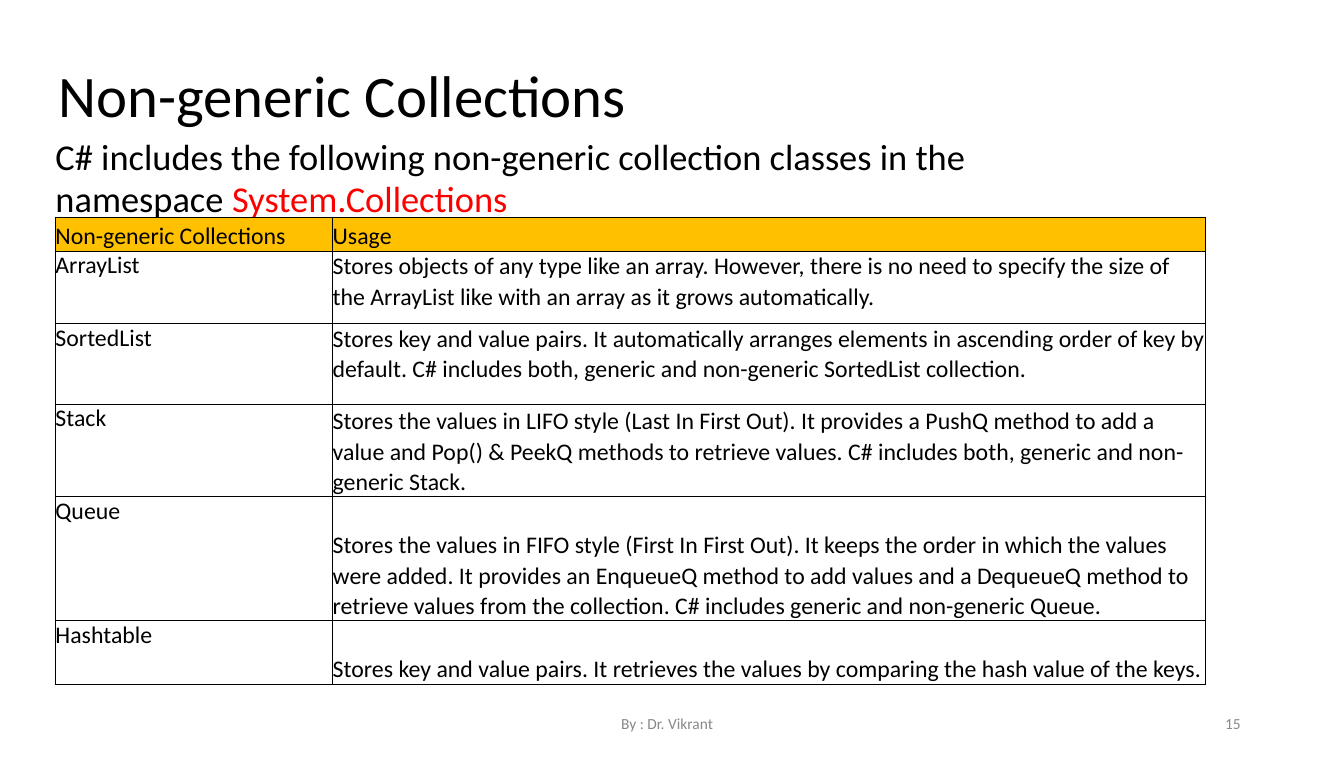
from lxml.etree import SubElement
from pptx import Presentation
from pptx.dml.color import RGBColor
from pptx.enum.text import MSO_ANCHOR
from pptx.oxml.ns import qn
from pptx.util import Inches, Pt

FONT = "Calibri"
BLACK, RED, GREY, AMBER = "000000", "FC0000", "888888", "FFC000"
TOP, BOTTOM = MSO_ANCHOR.TOP, MSO_ANCHOR.BOTTOM
COLUMNS = [2.75, 8.66]
HEADER = ("Non-generic Collections", "Usage")
COLLECTIONS = [
    ("ArrayList", 0.72, TOP,
     "Stores objects of any type like an array. However, there is no need to "
     "specify the size of the ArrayList like with an array as it grows automatically."),
    ("SortedList", 0.8, TOP,
     "Stores key and value pairs. It automatically arranges elements in ascending "
     "order of key by default. C# includes both, generic and non-generic "
     "SortedList collection."),
    ("Stack", 0.92, BOTTOM,
     "Stores the values in LIFO style (Last In First Out). It provides a PushQ "
     "method to add a value and Pop() & PeekQ methods to retrieve values. "
     "C# includes both, generic and non-generic Stack."),
    ("Queue", 1.23, BOTTOM,
     "Stores the values in FIFO style (First In First Out). It keeps the order in "
     "which the values were added. It provides an EnqueueQ method to add values "
     "and a DequeueQ method to retrieve values from the collection. "
     "C# includes generic and non-generic Queue."),
    ("Hashtable", 0.63, BOTTOM,
     "Stores key and value pairs. It retrieves the values by comparing the hash "
     "value of the keys."),
]


def rgb(color):
    return RGBColor.from_string(color)


def write(p, runs, size, spacing=None):
    p.font.size, p.font.name = Pt(size), FONT
    if spacing:
        p.line_spacing = Pt(spacing)
    for text, color in runs:
        r = p.add_run()
        r.text = text
        r.font.color.rgb = rgb(color)


def add_text(s, box, runs, size, spacing=None, wrap=False):
    tf = s.shapes.add_textbox(*map(Inches, box)).text_frame
    tf.margin_left = tf.margin_right = tf.margin_top = tf.margin_bottom = 0
    tf.word_wrap = wrap
    write(tf.paragraphs[0], runs, size, spacing)


def add_borders(cell):
    pr = cell._tc.get_or_add_tcPr()
    for i, side in enumerate(("a:lnL", "a:lnR", "a:lnT", "a:lnB")):
        ln = pr.makeelement(qn(side), {"w": str(Pt(0.75))})
        fill = SubElement(ln, qn("a:solidFill"))
        SubElement(fill, qn("a:srgbClr"), val=BLACK)
        pr.insert(i, ln)


def fill_cell(cell, text, anchor, spacing=None, color=None):
    cell.margin_left = cell.margin_right = cell.margin_top = cell.margin_bottom = 0
    cell.vertical_anchor = anchor
    if color:
        cell.fill.solid()
        cell.fill.fore_color.rgb = rgb(color)
    else:
        cell.fill.background()
    write(cell.text_frame.paragraphs[0], [(text, BLACK)], 17, spacing)
    add_borders(cell)


def add_collections_table(s, left, top):
    heights = [0.33] + [height for _, height, _, _ in COLLECTIONS]
    table = s.shapes.add_table(len(heights), len(COLUMNS), Inches(left), Inches(top),
                               Inches(sum(COLUMNS)), Inches(sum(heights))).table
    table.first_row = table.horz_banding = False
    for column, width in zip(table.columns, COLUMNS):
        column.width = Inches(width)
    for row, height in zip(table.rows, heights):
        row.height = Inches(height)
    for i, title in enumerate(HEADER):
        fill_cell(table.cell(0, i), title, BOTTOM, color=AMBER)
    for i, (name, _, anchor, usage) in enumerate(COLLECTIONS, 1):
        fill_cell(table.cell(i, 0), name, TOP)
        fill_cell(table.cell(i, 1), usage, anchor, 21.6)


def add_heading(s, left, top):
    add_text(s, (left + 0.03, top, 5.86, 0.56), [("Non-generic Collections", BLACK)], 42)
    add_text(s, (left, top + 0.77, 9.71, 0.8),
             [("C# includes the following non-generic collection classes in the namespace ", BLACK),
              ("System.Collections", RED)], 26, 30, True)


def add_footer(s, top):
    add_text(s, (6.16, top, 1.01, 0.18), [("By : Dr. Vikrant", GREY)], 11)
    add_text(s, (12.15, top, 0.18, 0.15), [("15", GREY)], 11)


def main():
    prs = Presentation()
    prs.slide_width, prs.slide_height = Inches(13.33), Inches(7.51)
    s = prs.slides.add_slide(prs.slide_layouts[6])
    add_heading(s, 0.55, 0.58)
    add_collections_table(s, 0.55, 2.16)
    add_footer(s, 7.08)
    prs.save("out.pptx")


if __name__ == "__main__":
    main()
